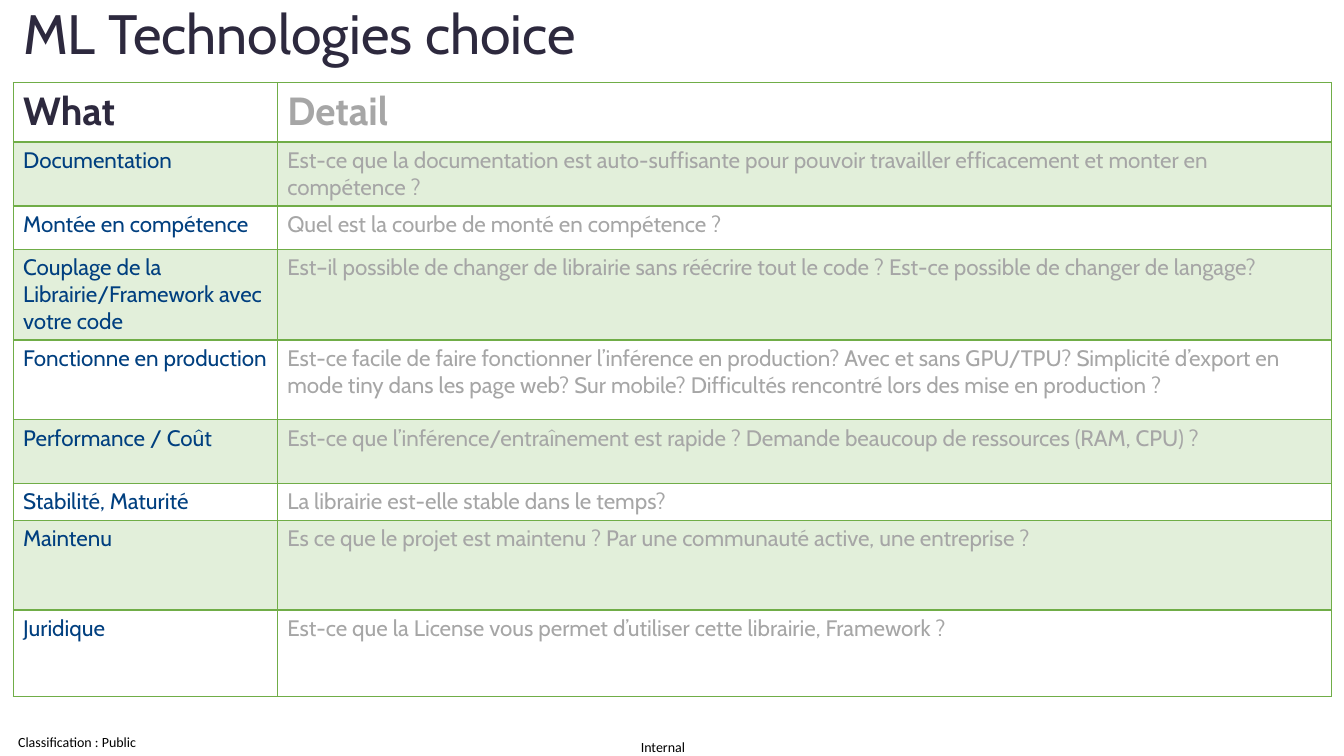
from dataclasses import dataclass

from lxml import etree
from pptx import Presentation
from pptx.dml.color import RGBColor
from pptx.enum.text import MSO_ANCHOR, PP_ALIGN
from pptx.oxml.ns import qn
from pptx.util import Inches, Pt

LEFT, CENTER = PP_ALIGN.LEFT, PP_ALIGN.CENTER
TOP, MIDDLE = MSO_ANCHOR.TOP, MSO_ANCHOR.MIDDLE

TITLE = "ML Technologies choice"
HEADER = ("What", "Detail")
CRITERIA = [
    ("Documentation", "Est-ce que la documentation est auto-suffisante pour pouvoir travailler "
     "efficacement et monter en compétence ?"),
    ("Montée en compétence", "Quel est la courbe de monté en compétence ?"),
    ("Couplage de la Librairie/Framework avec votre code",
     "Est–il possible de changer de librairie sans réécrire tout le code ? "
     "Est-ce possible de changer de langage?"),
    ("Fonctionne en production",
     "Est-ce facile de faire fonctionner l’inférence en production? Avec et sans GPU/TPU? "
     "Simplicité d’export en mode tiny dans les page web? Sur mobile? "
     "Difficultés rencontré lors des mise en production ?"),
    ("Performance / Coût", "Est-ce que l’inférence/entraînement est rapide ? "
     "Demande beaucoup de ressources (RAM, CPU) ?"),
    ("Stabilité, Maturité", "La librairie est-elle stable dans le temps?"),
    ("Maintenu", "Es ce que le projet est maintenu ? Par une communauté active, une entreprise ?"),
    ("Juridique", "Est-ce que la License vous permet d’utiliser cette librairie, Framework ?"),
]
COLUMN_WIDTHS = (2.62, 10.46)
ROW_HEIGHTS = (0.59, 0.63, 0.43, 0.9, 0.79, 0.63, 0.37, 0.89, 0.86)
# text, left, top, width, height, alignment
FOOTERS = [
    ("Internal", 6.34, 7.33, 0.47, 0.17, CENTER),
    ("Classification : Public", 0.18, 7.28, 1.35, 0.17, LEFT),
]


@dataclass(frozen=True)
class Theme:
    font: str = "Cabin"
    footer_font: str = "Calibri"
    dark: str = "2D293E"
    blue: str = "003F7F"
    gray: str = "A6A6A6"
    black: str = "000000"
    green: str = "70AD47"
    tint: str = "E2EFDA"
    title_size: float = 39.6
    header_size: float = 28
    body_size: float = 16
    footer_size: float = 10
    thin: float = 1
    thick: float = 2


THEME = Theme()


def write(frame, text, *, size, color, font=THEME.font, bold=False, align=LEFT,
          anchor=TOP, spacing=None):
    frame.word_wrap = True
    frame.vertical_anchor = anchor
    para = frame.paragraphs[0]
    para.alignment = align
    if spacing:
        para.line_spacing = spacing
    span = para.add_run()
    span.text = text
    span.font.name = font
    span.font.size = Pt(size)
    span.font.bold = bold
    span.font.color.rgb = RGBColor.from_string(color)


def add_borders(cell, **widths):
    """Draw green borders; widths are in points, keyed by side L, R, T, B."""
    properties = cell._tc.get_or_add_tcPr()
    for side, width in widths.items():
        line = etree.SubElement(properties, qn(f"a:ln{side}"), w=str(Pt(width)))
        fill = etree.SubElement(line, qn("a:solidFill"))
        etree.SubElement(fill, qn("a:srgbClr"), val=THEME.green)


def add_title(page):
    title = page.shapes.title
    title.left, title.top = Inches(0.13), Inches(0)
    title.width, title.height = Inches(11.5), Inches(0.72)
    write(title.text_frame, TITLE, size=THEME.title_size, color=THEME.dark,
          anchor=MIDDLE, spacing=0.9)


def add_criteria_table(page):
    rows = [HEADER, *CRITERIA]
    table = page.shapes.add_table(
        len(rows), len(HEADER), Inches(0.13), Inches(0.82),
        Inches(sum(COLUMN_WIDTHS)), Inches(sum(ROW_HEIGHTS))).table
    table.first_row = table.horz_banding = False
    for column, width in zip(table.columns, COLUMN_WIDTHS):
        column.width = Inches(width)

    for r, texts in enumerate(rows):
        table.rows[r].height = Inches(ROW_HEIGHTS[r])
        is_header = r == 0
        size = THEME.header_size if is_header else THEME.body_size
        colors = (THEME.dark if is_header else THEME.blue, THEME.gray)
        for c, (text, color) in enumerate(zip(texts, colors)):
            cell = table.cell(r, c)
            write(cell.text_frame, text, size=size, color=color, bold=is_header)
            add_borders(cell, L=THEME.thin, R=THEME.thin,
                        T=THEME.thick if r == 1 else THEME.thin,
                        B=THEME.thick if is_header else THEME.thin)
            if r % 2:
                cell.fill.solid()
                cell.fill.fore_color.rgb = RGBColor.from_string(THEME.tint)
            else:
                cell.fill.background()


def add_footers(page):
    for text, left, top, width, height, align in FOOTERS:
        box = page.shapes.add_textbox(Inches(left), Inches(top), Inches(width), Inches(height))
        frame = box.text_frame
        frame.margin_left = frame.margin_right = frame.margin_top = frame.margin_bottom = 0
        write(frame, text, size=THEME.footer_size, color=THEME.black,
              font=THEME.footer_font, align=align)


def main():
    deck = Presentation()
    deck.slide_width, deck.slide_height = Inches(13.33), Inches(7.5)
    page = deck.slides.add_slide(deck.slide_layouts[5])
    add_footers(page)
    add_title(page)
    add_criteria_table(page)
    deck.save("out.pptx")


if __name__ == "__main__":
    main()
